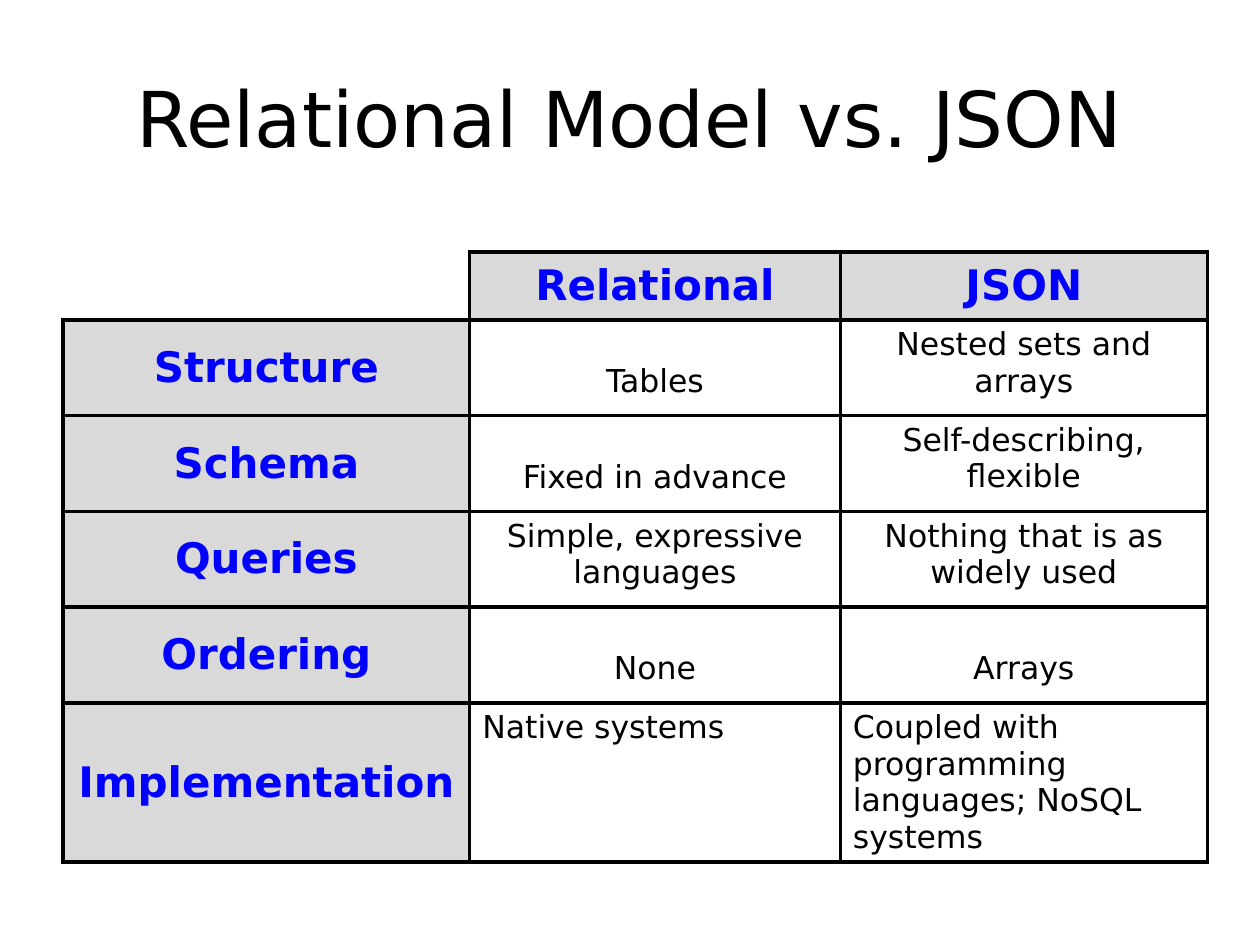
from typing import NamedTuple

from lxml import etree
from pptx import Presentation
from pptx import util as u
from pptx.dml.color import RGBColor
from pptx.enum import text
from pptx.oxml.ns import qn

FONT = "DejaVu Sans"
BLACK, BLUE, GREY = "000000", "0000FF", "D9D9D9"
BORDER = u.Pt(2.25)
MARGIN = u.Cm(0.13)
LINE_DROP = u.Cm(0.74)  # one line of 18 pt text


class Style(NamedTuple):
    size: int
    color: str
    bold: bool = False
    align: text.PP_ALIGN = text.PP_ALIGN.CENTER


class Topic(NamedTuple):
    name: str
    relational: str
    json: str
    height: float = 1.93
    dropped: tuple[bool, bool] = (False, False)  # starts one line lower
    style: Style = Style(18, BLACK)


TITLE = Style(44, BLACK)
HEADING = Style(24, BLUE, True)
LEFT_BODY = Style(18, BLACK, align=text.PP_ALIGN.LEFT)

COLUMN_WIDTHS = (8.2, 7.47, 7.4)
HEADER_HEIGHT = 1.37
HEADERS = ("Relational", "JSON")
TOPICS = [
    Topic("Structure", "Tables", "Nested sets and arrays", dropped=(True, False)),
    Topic("Schema", "Fixed in advance", "Self-describing, flexible", dropped=(True, False)),
    Topic("Queries", "Simple, expressive languages", "Nothing that is as widely used"),
    Topic("Ordering", "None", "Arrays", dropped=(True, True)),
    Topic("Implementation", "Native systems",
          "Coupled with programming languages; NoSQL systems", 3.2, style=LEFT_BODY),
]


def rgb(color: str) -> RGBColor:
    return RGBColor.from_string(color)


def write(tf, words: str, style: Style) -> None:
    p = tf.paragraphs[0]
    p.alignment = style.align
    r = p.add_run()
    r.text = words
    r.font.name = FONT
    r.font.size = u.Pt(style.size)
    r.font.bold = style.bold
    r.font.color.rgb = rgb(style.color)


def set_borders(cell, visible: str = "LRTB") -> None:
    """Draw the listed sides and hide the others."""
    tc_pr = cell._tc.get_or_add_tcPr()
    for side in "LRTB":
        ln = etree.SubElement(tc_pr, qn(f"a:ln{side}"), w=str(BORDER))
        if side in visible:
            fill = etree.SubElement(ln, qn("a:solidFill"))
            etree.SubElement(fill, qn("a:srgbClr"), val=BLACK)
        else:
            etree.SubElement(ln, qn("a:noFill"))


def fill_heading(cell, words: str) -> None:
    set_borders(cell)
    cell.fill.solid()
    cell.fill.fore_color.rgb = rgb(GREY)
    cell.vertical_anchor = text.MSO_ANCHOR.MIDDLE
    write(cell.text_frame, words, HEADING)


def fill_body(cell, words: str, style: Style, dropped: bool) -> None:
    set_borders(cell)
    cell.fill.background()
    cell.margin_top = MARGIN + (LINE_DROP if dropped else 0)
    write(cell.text_frame, words, style)


def add_comparison(s) -> None:
    heights = [HEADER_HEIGHT] + [topic.height for topic in TOPICS]
    frame = s.shapes.add_table(len(heights), len(COLUMN_WIDTHS), u.Cm(1.27), u.Cm(5.08),
                               u.Cm(sum(COLUMN_WIDTHS)), u.Cm(sum(heights)))
    table = frame.table
    table.first_row = table.horz_banding = False
    for column, width in zip(table.columns, COLUMN_WIDTHS):
        column.width = u.Cm(width)
    for row, height in zip(table.rows, heights):
        row.height = u.Cm(height)

    # Open corner and column headings
    corner = table.cell(0, 0)
    set_borders(corner, "RB")
    corner.fill.background()
    for col, words in enumerate(HEADERS, 1):
        fill_heading(table.cell(0, col), words)

    # One row per topic
    for row, topic in enumerate(TOPICS, 1):
        fill_heading(table.cell(row, 0), topic.name)
        answers = zip((topic.relational, topic.json), topic.dropped)
        for col, (words, dropped) in enumerate(answers, 1):
            fill_body(table.cell(row, col), words, topic.style, dropped)


def main() -> None:
    prs = Presentation()
    prs.slide_width, prs.slide_height = u.Cm(25.4), u.Cm(19.05)
    s = prs.slides.add_slide(prs.slide_layouts[5])

    # Title
    title = s.shapes.title
    title.left, title.top = u.Cm(1.27), u.Cm(0.76)
    title.width, title.height = u.Cm(22.86), u.Cm(3.18)
    title.text_frame.vertical_anchor = text.MSO_ANCHOR.MIDDLE
    write(title.text_frame, "Relational Model vs. JSON", TITLE)

    add_comparison(s)
    prs.save("out.pptx")


if __name__ == "__main__":
    main()
